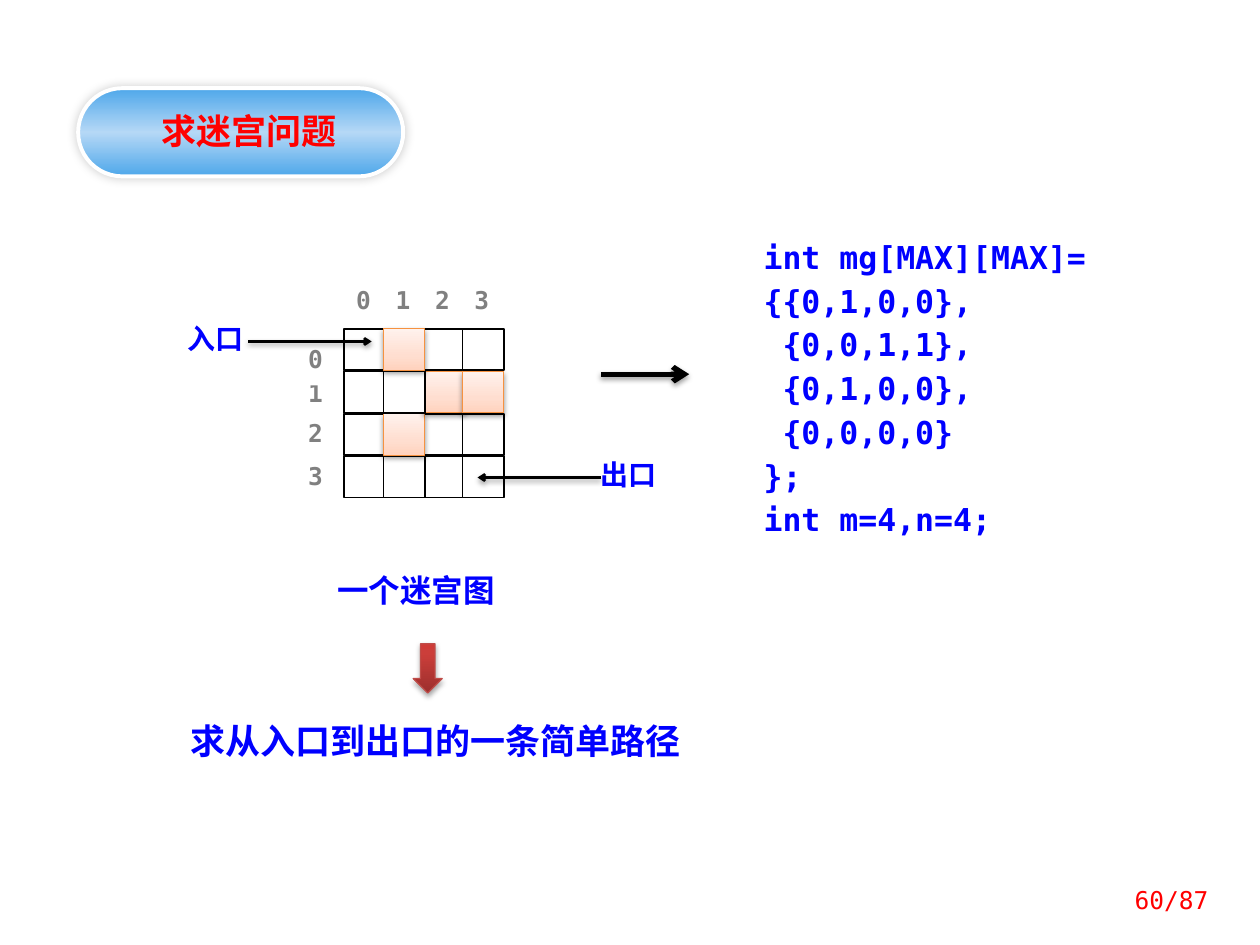
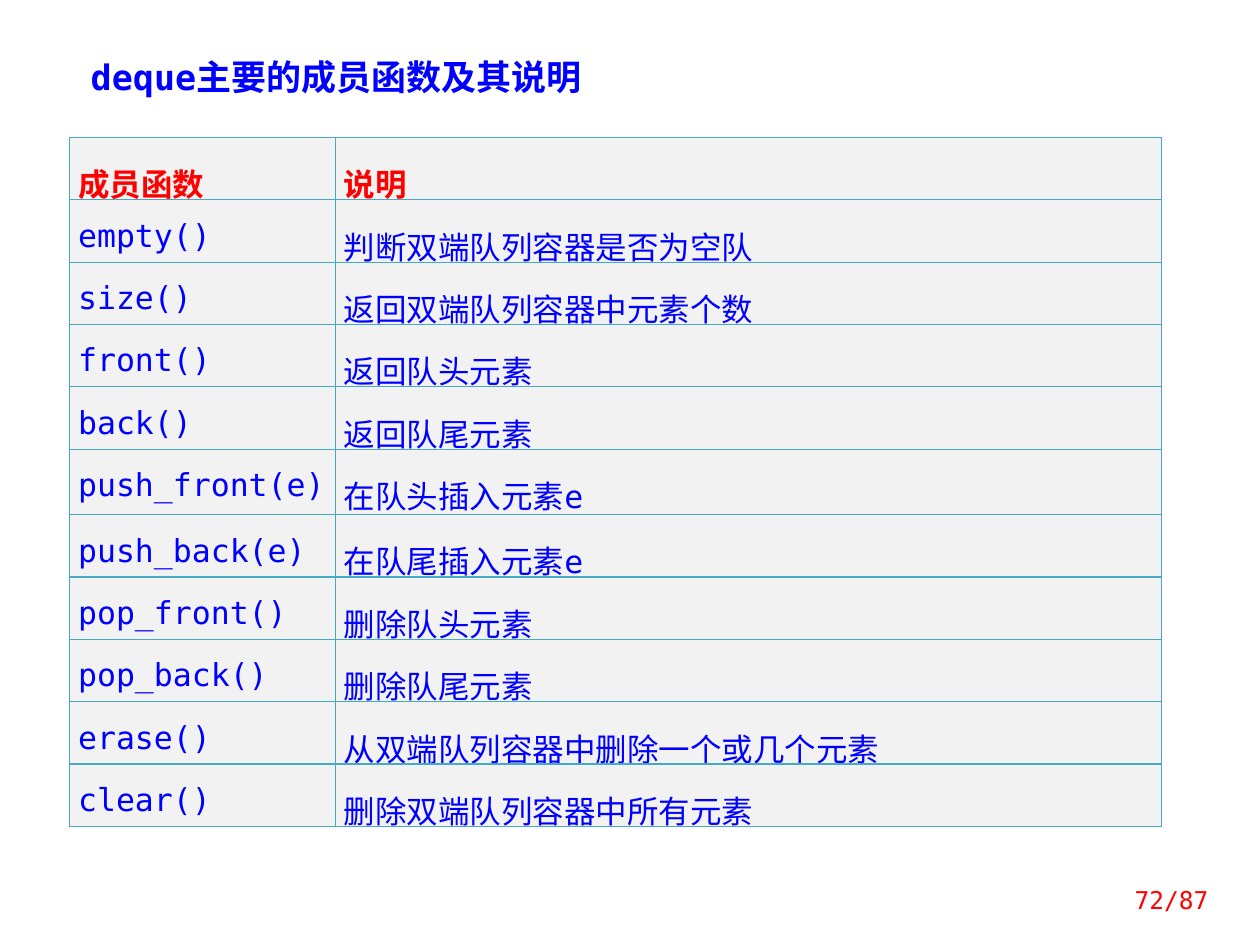
from lxml import etree
from pptx import Presentation
from pptx.dml.color import RGBColor
from pptx.enum.shapes import MSO_CONNECTOR, MSO_SHAPE as Shape
from pptx.enum.text import MSO_ANCHOR as Anchor, MSO_AUTO_SIZE as AutoSize, PP_ALIGN as Align
from pptx.oxml.ns import qn
from pptx.util import Inches, Pt

# Shared style
MONO, CJK = "DejaVu Sans Mono", "Noto Sans CJK SC"
BLUE, RED, GRAY, BLACK, WHITE = "0000FF", "FF0000", "808080", "000000", "FFFFFF"
PALE, TABLE_LINE = "F2F2F2", "46AAC5"
WALL_LINE, ARROW_LINE = "F69240", "BF4C48"
WALL_STOPS = [(0, "FFD2BD"), (35, "FFDED0"), (100, "FFF2ED")]
ARROW_STOPS = [(0, "9C2F2D"), (80, "CB3E3A"), (100, "CE3B37")]
PILL_STOPS = [(0, "4EA7EA"), (50, "B5D8F6"), (100, "4EA7EA")]
PAGES = 87

# The slide is a grid of one-inch columns and rows
COLUMNS, ROWS = 10, 7.5

# Maze: 1 is a wall; cell sizes in grid units
MAZE = [[0, 1, 0, 0], [0, 0, 1, 1], [0, 1, 0, 0], [0, 0, 0, 0]]
MAZE_LEFT, MAZE_TOP, CELL = 2.73, 2.61, 0.33
STEP_X, STEP_Y = 0.94 / 3, 1.01 / 3
ROW_LABEL_TOPS = [2.73, 3.0, 3.32, 3.66]
DRAW_ORDER = [0, 2, 1, 3]

MAZE_CODE = [
    "int mg[MAX][MAX]=",
    "{{0,1,0,0},",
    " {0,0,1,1},",
    " {0,1,0,0},",
    " {0,0,0,0}",
    "};",
    "int m=4,n=4;",
]

DEQUE_MEMBERS = [
    ("成员函数", "说明"),
    ("empty()", "判断双端队列容器是否为空队"),
    ("size()", "返回双端队列容器中元素个数"),
    ("front()", "返回队头元素"),
    ("back()", "返回队尾元素"),
    ("push_front(e)", "在队头插入元素e"),
    ("push_back(e)", "在队尾插入元素e"),
    ("pop_front()", "删除队头元素"),
    ("pop_back()", "删除队尾元素"),
    ("erase()", "从双端队列容器中删除一个或几个元素"),
    ("clear()", "删除双端队列容器中所有元素"),
]


def color(hex_string):
    return RGBColor.from_string(hex_string)


def grid(*units):
    return [Inches(unit) for unit in units]


def child(parent, tag, **attributes):
    return etree.SubElement(parent, qn(tag), {k: str(v) for k, v in attributes.items()})


# Text
def write(frame, lines, size, font_color, bold=True, font=MONO, align=Align.LEFT,
          anchor=Anchor.TOP, insets=(0.1, 0.05), spacing=None):
    frame.word_wrap = True
    frame.auto_size = AutoSize.NONE
    frame.vertical_anchor = anchor
    frame.margin_left = frame.margin_right = Inches(insets[0])
    frame.margin_top = frame.margin_bottom = Inches(insets[1])
    frame.text = "\n".join(lines)
    for paragraph in frame.paragraphs:
        format_paragraph(paragraph, size, font_color, bold, font, align, spacing)


def format_paragraph(paragraph, size, font_color, bold, font, align, spacing):
    paragraph.alignment = align
    if spacing:
        paragraph.line_spacing = spacing
    paragraph.font.name = font
    paragraph.font.size = Pt(size)
    paragraph.font.bold = bold
    paragraph.font.color.rgb = color(font_color)
    child(paragraph.font._element, "a:ea", typeface=CJK)


def add_text(slide, box, text, size, font_color, **style):
    text_box = slide.shapes.add_textbox(*grid(*box))
    write(text_box.text_frame, [text], size, font_color, **style)


def set_title(slide, box, text, font_color, **style):
    title = slide.shapes.title
    title.left, title.top, title.width, title.height = grid(*box)
    write(title.text_frame, [text], 20, font_color, **style)


def add_page_number(slide, number):
    add_text(slide, (8.67, 6.94, 1.02, 0.4), f"{number}/{PAGES}", 14, RED,
             bold=False, align=Align.RIGHT, anchor=Anchor.MIDDLE)


# Shapes and lines
def set_gradient(shape, stops, angle):
    shape.fill.background()
    properties = shape._element.spPr
    gradient = etree.Element(qn("a:gradFill"), rotWithShape="1")
    stop_list = child(gradient, "a:gsLst")
    for position, stop_color in stops:
        stop = child(stop_list, "a:gs", pos=position * 1000)
        child(stop, "a:srgbClr", val=stop_color)
    child(gradient, "a:lin", ang=angle * 60000, scaled=0)
    properties.replace(properties.find(qn("a:noFill")), gradient)


def set_shadow(shape, alpha=38, blur=3.1, distance=1.6, angle=90):
    properties = shape._element.spPr
    effects = properties.find(qn("a:effectLst"))
    if effects is None:
        effects = child(properties, "a:effectLst")
    shadow = child(effects, "a:outerShdw", blurRad=Pt(blur), dist=Pt(distance),
                   dir=angle * 60000, rotWithShape=0)
    child(child(shadow, "a:srgbClr", val=BLACK), "a:alpha", val=alpha * 1000)


def add_shape(slide, kind, box, fill=WHITE, line=None, line_width=1.0, angle=270):
    """Add a shape; fill is one colour or a list of gradient stops."""
    shape = slide.shapes.add_shape(kind, *grid(*box))
    shape.shadow.inherit = False
    if isinstance(fill, str):
        shape.fill.solid()
        shape.fill.fore_color.rgb = color(fill)
    else:
        set_gradient(shape, fill, angle)
    if line:
        shape.line.color.rgb = color(line)
        shape.line.width = Pt(line_width)
    else:
        shape.line.fill.background()
    return shape


def add_label(slide, box, text, size, font_color, font=MONO):
    label = add_shape(slide, Shape.RECTANGLE, box)
    write(label.text_frame, [text], size, font_color, font=font,
          align=Align.CENTER, insets=(0, 0))


def add_arrow(slide, start_x, end_x, y, width, head="med"):
    arrow = slide.shapes.add_connector(MSO_CONNECTOR.STRAIGHT, *grid(start_x, y, end_x, y))
    arrow.line.color.rgb = color(BLACK)
    arrow.line.width = Pt(width)
    child(arrow.line._get_or_add_ln(), "a:tailEnd", type="arrow", w=head, len=head)
    set_shadow(arrow)


# Maze drawing
def add_maze(slide):
    for row in reversed(range(len(MAZE))):
        for column in DRAW_ORDER:
            box = (MAZE_LEFT + column * STEP_X, MAZE_TOP + row * STEP_Y, CELL, CELL)
            if MAZE[row][column]:
                wall = add_shape(slide, Shape.RECTANGLE, box, WALL_STOPS, WALL_LINE, 0.5)
                set_shadow(wall)
            else:
                add_shape(slide, Shape.RECTANGLE, box, WHITE, BLACK)
    for column in range(len(MAZE[0])):
        add_label(slide, (2.72 + column * STEP_X, 2.26, CELL, 0.32), str(column), 14, GRAY)
    for row, top in reversed(list(enumerate(ROW_LABEL_TOPS))):
        add_label(slide, (2.34, top, CELL, CELL), str(row), 14, GRAY)
    add_label(slide, (4.69, 3.63, 0.6, 0.33), "出口", 16, BLUE, CJK)
    add_label(slide, (1.41, 2.55, 0.6, 0.32), "入口", 16, BLUE, CJK)
    add_arrow(slide, 1.97, 2.95, 2.71, 1.5, head="sm")
    add_arrow(slide, 4.77, 3.79, 3.79, 1.5, head="sm")


# Table
def set_borders(cell, line_color, width):
    properties = cell._tc.get_or_add_tcPr()
    for index, side in enumerate(("a:lnL", "a:lnR", "a:lnT", "a:lnB")):
        border = etree.Element(qn(side), w=str(Pt(width)))
        child(child(border, "a:solidFill"), "a:srgbClr", val=line_color)
        properties.insert(index, border)


def add_member_table(slide, box, column_widths, tall_row, tall_height):
    count = len(DEQUE_MEMBERS)
    table = slide.shapes.add_table(count, len(column_widths), *grid(*box)).table
    table.first_row = table.horz_banding = False
    for column, width in zip(table.columns, column_widths):
        column.width = Inches(width)
    row_height = (box[3] - tall_height) / (count - 1)
    for index, texts in enumerate(DEQUE_MEMBERS):
        is_header = index == 0
        table.rows[index].height = Inches(tall_height if index == tall_row else row_height)
        for cell, text in zip(table.rows[index].cells, texts):
            cell.fill.solid()
            cell.fill.fore_color.rgb = color(PALE)
            cell.margin_left = cell.margin_right = Inches(0.07)
            cell.margin_top = 0
            cell.margin_bottom = Inches(-0.06)  # lets the tall lines fit the rows
            cell.text = text
            format_paragraph(cell.text_frame.paragraphs[0], 18, RED if is_header else BLUE,
                             is_header, MONO, Align.JUSTIFY, 1.5)
            set_borders(cell, TABLE_LINE, 0.75)


# Slides
def build_maze_slide(slide):
    set_title(slide, (0.85, 0.82, 2.26, 0.44), "求迷宫问题", RED, font=CJK, align=Align.CENTER)
    pill = add_shape(slide, Shape.ROUNDED_RECTANGLE, (0.62, 0.7, 2.58, 0.7),
                     PILL_STOPS, WHITE, 2.25, angle=90)
    pill.adjustments[0] = 0.5
    set_shadow(pill, alpha=20, blur=6, distance=0, angle=225)
    slide.shapes.title._element.addprevious(pill._element)

    add_maze(slide)
    add_text(slide, (2.58, 4.48, 1.64, 0.4), "一个迷宫图", 18, BLUE, font=CJK)
    down_arrow = add_shape(slide, Shape.DOWN_ARROW, (3.28, 5.11, 0.23, 0.39),
                           ARROW_STOPS, ARROW_LINE, 0.75)
    set_shadow(down_arrow, alpha=35, distance=1.8)
    add_text(slide, (1.41, 5.66, 4.22, 0.44), "求从入口到出口的一条简单路径", 20, BLUE)

    code = add_shape(slide, Shape.RECTANGLE, (5.86, 1.72, 3.05, 2.69))
    write(code.text_frame, MAZE_CODE, 18, BLUE, insets=(0.2, 0.12), spacing=Pt(25))
    add_arrow(slide, 4.77, 5.47, 2.97, 3)
    add_page_number(slide, 60)


def build_deque_slide(slide):
    set_title(slide, (0.62, 0.39, 8.2, 0.44), "deque主要的成员函数及其说明", BLUE)
    add_member_table(slide, (0.55, 1.09, 8.67, 5.47), (2.11, 6.56), tall_row=5, tall_height=0.52)
    add_page_number(slide, 72)


def main():
    presentation = Presentation()
    presentation.slide_width, presentation.slide_height = grid(COLUMNS, ROWS)
    title_only = presentation.slide_layouts[5]
    for build in (build_maze_slide, build_deque_slide):
        build(presentation.slides.add_slide(title_only))
    presentation.save("out.pptx")


if __name__ == "__main__":
    main()
